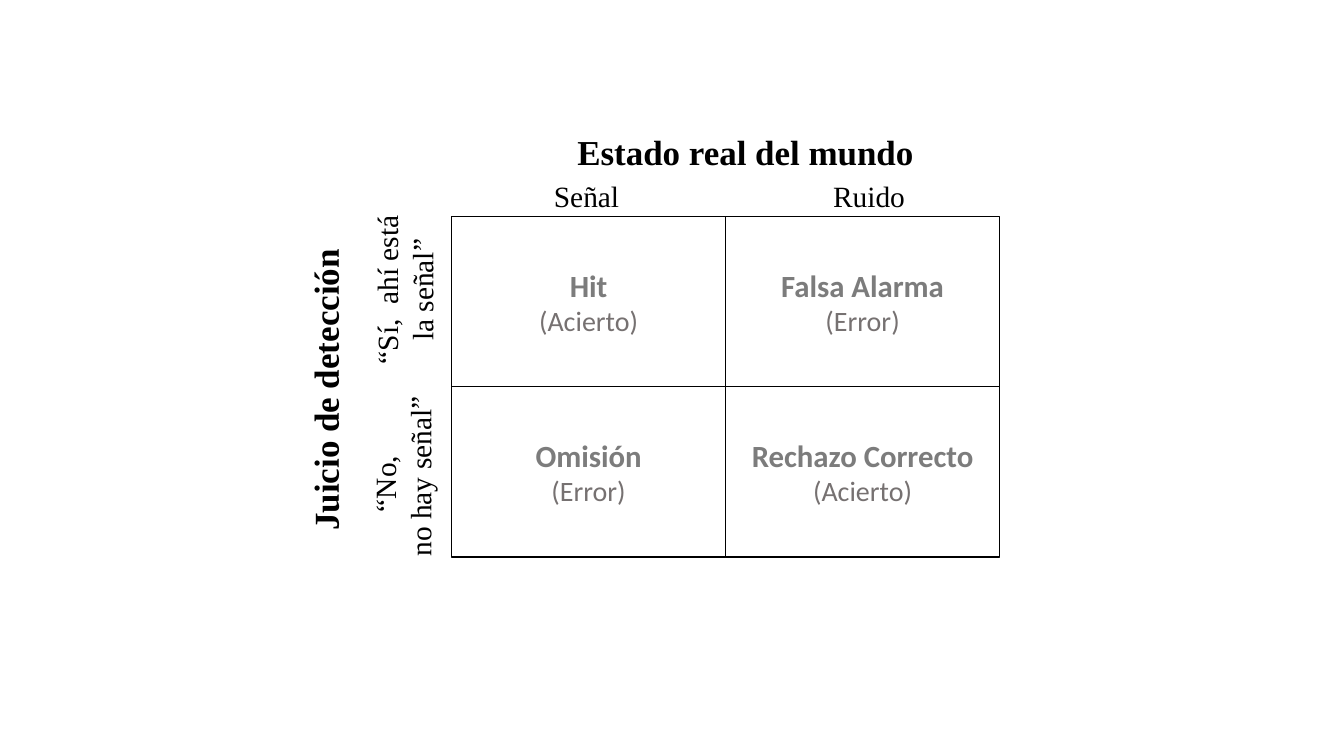
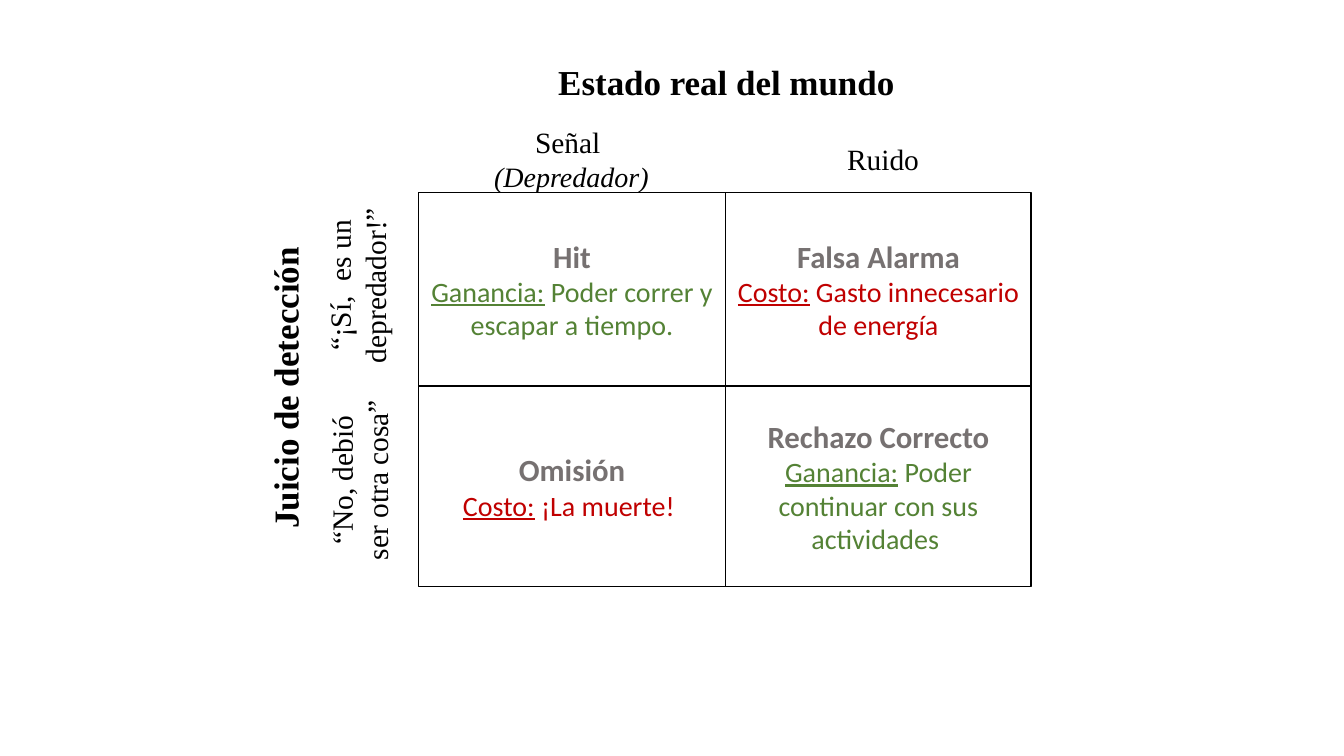
from pptx import Presentation
from pptx.dml.color import RGBColor
from pptx.enum.shapes import MSO_SHAPE
from pptx.enum.text import MSO_ANCHOR as Anchor, PP_ALIGN as Align
from pptx.util import Pt

BLACK = RGBColor(0x00, 0x00, 0x00)
WHITE = RGBColor(0xFF, 0xFF, 0xFF)
GRAY = RGBColor(0x7C, 0x7C, 0x7C)
WARM_GRAY = RGBColor(0x76, 0x71, 0x71)
GREEN = RGBColor(0x54, 0x82, 0x35)
RED = RGBColor(0xC0, 0x00, 0x00)
SERIF, SANS = "Times New Roman", "Calibri"

# Text styles: font, size, colour and optional emphasis
AXIS = dict(name=SERIF, size=25, color=BLACK, bold=True)
LABEL = dict(name=SERIF, size=21, color=BLACK)
SUBLABEL = dict(name=SERIF, size=20, color=BLACK, italic=True)
DETAIL = dict(name=SANS, size=20, color=WARM_GRAY, bold=False)

# Content: every text is a list of paragraphs, every paragraph a list of runs
WORLD, JUDGMENT = "Estado real del mundo", "Juicio de detección"
OUTCOMES = [["Hit", "Falsa Alarma"], ["Omisión", "Rechazo Correcto"]]


def plain(text):
    return [(text, DETAIL)]


def payoff(kind, text):
    style = dict(DETAIL, color=GREEN if kind == "Ganancia:" else RED)
    return [(kind, dict(style, underline=True)), (text, style)]


def label(*lines):
    return [[(line, LABEL)] for line in lines]


# Edges of the matrix are x and y positions; label positions are centres
MATRICES = [
    dict(
        columns=(322.5, 518.4, 714), rows=(154.8, 276.2, 397.8),
        outcome_color=GRAY,
        world_at=(532.4, 108), judgment_at=(232.2, 278.6),
        labels=[
            (label("Señal"), (419, 140), (194.4, 32.4), 0),
            (label("Ruido"), (620.8, 140), (194.4, 32.4), 0),
            (label("“Sí,  ahí está", "la señal”"), (289, 207), (143.3, 58.3), 270),
            (label("“No, ", " no hay señal”"), (287.6, 343), (134.6, 58.3), 270),
        ],
        details=[[plain("(Acierto)"), plain("(Error)")],
                 [plain("(Error)"), plain("(Acierto)")]],
    ),
    dict(
        columns=(298.8, 518.4, 736.6), rows=(137.5, 275.8, 419),
        outcome_color=WARM_GRAY,
        world_at=(518.8, 58.3), judgment_at=(203.4, 277.2),
        labels=[
            (label("Señal ") + [[("(Depredador)", SUBLABEL)]],
             (408.2, 113.4), (194.4, 56.9), 0),
            (label("Ruido"), (630.8, 113.4), (194.4, 32.4), 0),
            (label("“¡Sí,  es un depredador!”"), (255.2, 204), (143.3, 58.3), 270),
            (label("“No, debió ser otra cosa”"), (256.7, 343), (134.6, 58.3), 270),
        ],
        details=[[payoff("Ganancia:", " Poder correr y escapar a tiempo."),
                  payoff("Costo:", " Gasto innecesario de energía")],
                 [payoff("Costo:", " ¡La muerte! "),
                  payoff("Ganancia:", " Poder continuar con sus actividades ")]],
    ),
]
AXIS_SIZE = (281.5, 37.4)


def write(shape, paragraphs, anchor=Anchor.TOP):
    frame = shape.text_frame
    frame.word_wrap = True
    frame.vertical_anchor = anchor
    frame.margin_left = frame.margin_right = Pt(7.2)
    frame.margin_top = frame.margin_bottom = Pt(3.6)
    for index, runs in enumerate(paragraphs):
        paragraph = frame.paragraphs[0] if index == 0 else frame.add_paragraph()
        paragraph.alignment = Align.CENTER
        for text, style in runs:
            run = paragraph.add_run()
            run.text = text
            font = run.font
            font.name, font.size = style["name"], Pt(style["size"])
            font.color.rgb = style["color"]
            font.bold = style.get("bold", False)
            font.italic = style.get("italic", False)
            font.underline = style.get("underline", False)


def box_around(center, size):
    (x, y), (width, height) = center, size
    return Pt(x - width / 2), Pt(y - height / 2), Pt(width), Pt(height)


def add_label(slide, paragraphs, center, size, rotation):
    shape = slide.shapes.add_textbox(*box_around(center, size))
    shape.rotation = rotation
    write(shape, paragraphs)


def add_outcome(slide, left, top, right, bottom, paragraphs):
    shape = slide.shapes.add_shape(MSO_SHAPE.RECTANGLE, Pt(left), Pt(top),
                                   Pt(right - left), Pt(bottom - top))
    shape.shadow.inherit = False
    shape.fill.solid()
    shape.fill.fore_color.rgb = WHITE
    shape.line.color.rgb = BLACK
    shape.line.width = Pt(1)
    write(shape, paragraphs, Anchor.MIDDLE)


presentation = Presentation()
presentation.slide_width, presentation.slide_height = Pt(960), Pt(540)
title_only = presentation.slide_layouts[5]

for matrix in MATRICES:
    slide = presentation.slides.add_slide(title_only)

    # Axis headings
    title = slide.shapes.title
    title.left, title.top, title.width, title.height = box_around(
        matrix["world_at"], AXIS_SIZE)
    write(title, [[(WORLD, AXIS)]])
    add_label(slide, [[(JUDGMENT, AXIS)]], matrix["judgment_at"], AXIS_SIZE, 270)

    # Column and row labels
    for entry in matrix["labels"]:
        add_label(slide, *entry)

    # Two-by-two outcomes
    columns, rows = matrix["columns"], matrix["rows"]
    heading = dict(name=SANS, size=22, color=matrix["outcome_color"], bold=True)
    for row, names in enumerate(OUTCOMES):
        for column, name in enumerate(names):
            add_outcome(slide, columns[column], rows[row],
                        columns[column + 1], rows[row + 1],
                        [[(name, heading)], matrix["details"][row][column]])

presentation.save("out.pptx")
